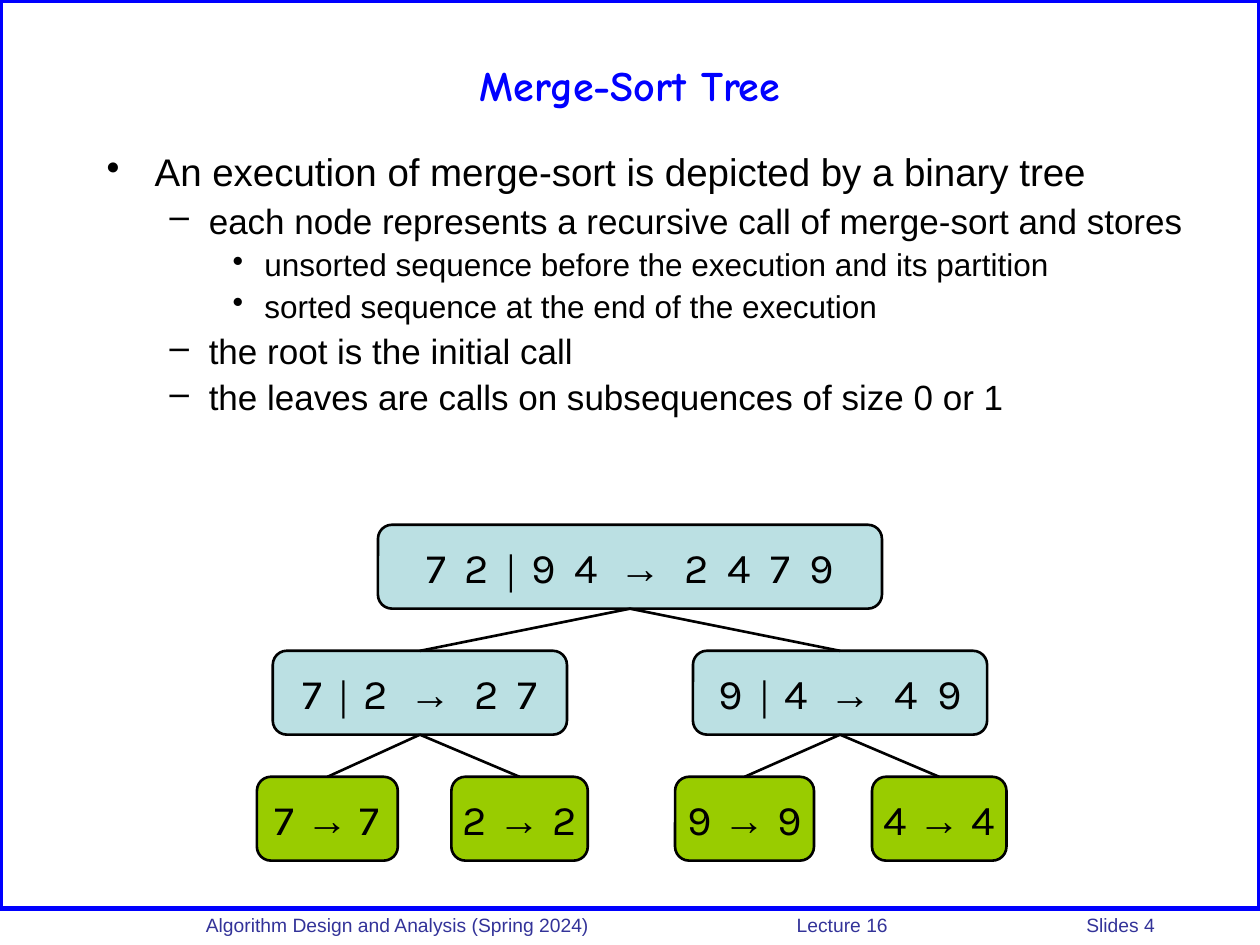
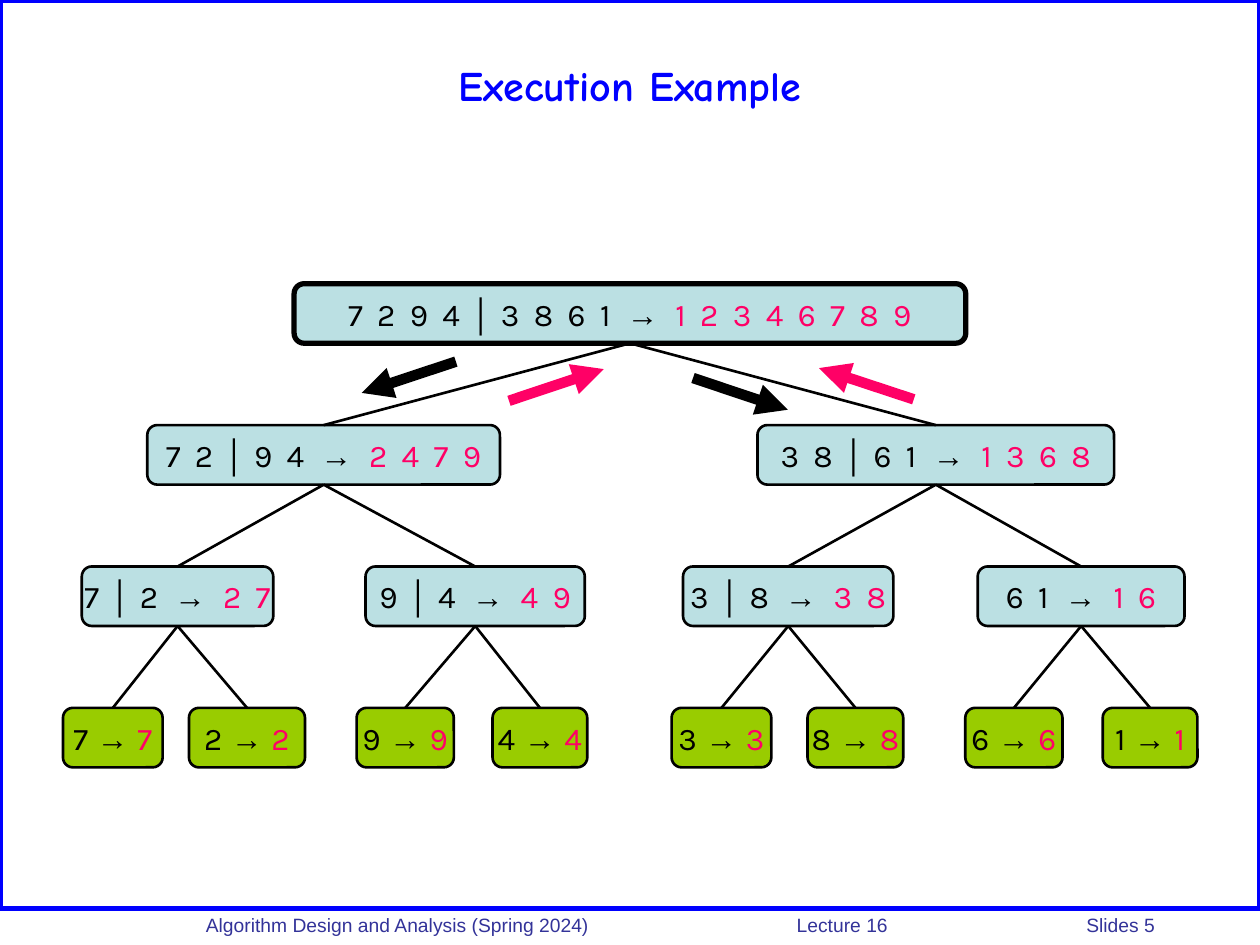
from lxml import etree
from pptx import Presentation
from pptx.dml.color import RGBColor
from pptx.enum.shapes import MSO_CONNECTOR as Link, MSO_SHAPE as Shape
from pptx.enum.text import MSO_ANCHOR as Anchor, PP_ALIGN as Align
from pptx.oxml.ns import qn
from pptx.util import Cm, Pt

BLUE, BLACK, PINK, NAVY = "0000FF", "000000", "FF0066", "333399"
INNER, LEAF = "BBE0E3", "99CC00"
TITLE_FONT, TEXT_FONT, NODE_FONT = "Comic Neue", "Arial", "Karla"
BOTTOM, TOP = 2, 0

# indent, hanging, bullet, size and space before of each outline level
LEVELS = [
    (0.97, 0.97, "•", 22, 5.5),
    (2.06, 0.79, "–", 20, 5),
    (3.18, 0.64, "•", 18, 4.5),
]


def rgb(value):
    return RGBColor.from_string(value)


def add_xml(parent, tag, **attributes):
    values = {name: str(value) for name, value in attributes.items()}
    return etree.SubElement(parent, qn(tag), values)


def style_run(span, size, font, color=BLACK, bold=False, tracking=0):
    """Format a run; tracking is the extra letter spacing in ems."""
    span.font.size = Pt(size)
    span.font.name = font
    span.font.bold = bold
    span.font.color.rgb = rgb(color)
    if tracking:
        span.font._element.set("spc", str(round(tracking * size * 100)))


class LectureDeck:
    def __init__(self):
        self.deck = Presentation()
        self.deck.slide_width, self.deck.slide_height = Cm(25.4), Cm(19.05)
        self.page = None

    def new_page(self, title, number):
        self.page = self.deck.slides.add_slide(self.deck.slide_layouts[6])
        frame = self.page.shapes.add_shape(Shape.RECTANGLE, 0, 0, Cm(25.4), Cm(18.31))
        frame.shadow.inherit = False
        frame.fill.background()
        frame.line.color.rgb = rgb(BLUE)
        frame.line.width = Pt(3)
        self.footer(number)
        box = self.text_box(1.27, 0.43, 22.86, 2.54)
        box.vertical_anchor = Anchor.MIDDLE
        box.text = title
        para = box.paragraphs[0]
        para.alignment = Align.CENTER
        style_run(para.runs[0], 24, TITLE_FONT, BLUE, bold=True)

    def text_box(self, left, top, width, height):
        box = self.page.shapes.add_textbox(Cm(left), Cm(top), Cm(width), Cm(height))
        box.text_frame.word_wrap = True
        return box.text_frame

    def footer(self, number):
        box = self.text_box(3.9, 18.29, 21.5, 0.66)
        para = box.paragraphs[0]
        para.text = f"Algorithm Design and Analysis (Spring 2024)\tLecture 16\tSlides {number}"
        tabs = add_xml(para._p.get_or_add_pPr(), "a:tabLst")
        for stop in (11.91, 17.75):
            add_xml(tabs, "a:tab", pos=Cm(stop), algn="l")
        style_run(para.runs[0], 11, TEXT_FONT, NAVY)

    def outline(self, items):
        """Write (level, text) pairs as a bulleted outline."""
        box = self.text_box(1.9, 2.97, 22.43, 6.96)
        for index, (level, text) in enumerate(items):
            para = box.add_paragraph() if index else box.paragraphs[0]
            indent, hanging, bullet, size, space = LEVELS[level]
            para.text = text
            para.level = level
            properties = para._p.get_or_add_pPr()
            properties.set("marL", str(Cm(indent)))
            properties.set("indent", str(-Cm(hanging)))
            add_xml(properties, "a:buChar", char=bullet)
            para.line_spacing = 0.9
            if index:
                para.space_before = Pt(space)
            style_run(para.runs[0], size, TEXT_FONT)

    def node(self, left, top, width, height, text, fill, size, result_color,
             border=1.5, loose=True):
        """Draw one call: its input, an optional partition bar and its result."""
        box = self.page.shapes.add_shape(
            Shape.ROUNDED_RECTANGLE, Cm(left), Cm(top), Cm(width), Cm(height))
        box.shadow.inherit = False
        box.fill.solid()
        box.fill.fore_color.rgb = rgb(fill)
        box.line.color.rgb = rgb(BLACK)
        box.line.width = Pt(border)
        box.text_frame.word_wrap = False
        box.text_frame.vertical_anchor = Anchor.MIDDLE
        para = box.text_frame.paragraphs[0]
        para.alignment = Align.CENTER

        sequence, arrow, result = text.partition(" → ")
        first, bar, second = sequence.partition(" │ ")
        digits = 0.11 if loose else 0
        gap = 0.13 if loose else 0
        pieces = [
            (first, size, NODE_FONT, BLACK, False, digits),
            (bar, 18, TEXT_FONT, BLACK, True, 0),
            (second, size, NODE_FONT, BLACK, False, digits),
            (arrow, size, TEXT_FONT, BLACK, True, gap),
            (result, size, NODE_FONT, result_color, False, digits),
        ]
        for piece, *style in pieces:
            if piece:
                span = para.add_run()
                span.text = piece
                style_run(span, *style)
        return box

    def line(self, start, end, color=BLACK, width=1.5):
        link = self.page.shapes.add_connector(
            Link.STRAIGHT, *(Cm(value) for value in start + end))
        link.line.color.rgb = rgb(color)
        link.line.width = Pt(width)
        add_xml(link._element.spPr, "a:effectLst")
        return link

    def arrow(self, start, end, color):
        link = self.line(start, end, color, 6)
        add_xml(link.line._get_or_add_ln(), "a:tailEnd", type="triangle")

    def tree(self, rows, top, step, height, size, result_color=BLACK, root_border=1.5):
        """Draw rows of (left, width, text); node i has children 2i and 2i + 1."""
        parents = []
        for depth, row in enumerate(rows):
            is_leaf = depth == len(rows) - 1
            nodes = []
            for index, (left, width, text) in enumerate(row):
                box = self.node(
                    left, top + depth * step, width, height, text,
                    LEAF if is_leaf else INNER, size, result_color,
                    border=1.5 if depth else root_border, loose=not is_leaf)
                if parents:
                    link = self.line((0, 0), (0, 0))
                    link.begin_connect(parents[index // 2], BOTTOM)
                    link.end_connect(box, TOP)
                nodes.append(box)
            parents = nodes


def main():
    lecture = LectureDeck()

    lecture.new_page("Merge-Sort Tree", 4)
    lecture.outline([
        (0, "An execution of merge-sort is depicted by a binary tree"),
        (1, "each node represents a recursive call of merge-sort and stores"),
        (2, "unsorted sequence before the execution and its partition"),
        (2, "sorted sequence at the end of the execution"),
        (1, "the root is the initial call"),
        (1, "the leaves are calls on subsequences of size 0 or 1"),
    ])
    lecture.tree([
        [(7.62, 10.16, "7 2 │ 9 4 → 2 4 7 9")],
        [(5.5, 5.93, "7 │ 2 → 2 7"), (13.97, 5.93, "9 │ 4 → 4 9")],
        [(5.18, 2.84, "7 → 7"), (9.1, 2.75, "2 → 2"),
         (13.61, 2.8, "9 → 9"), (17.58, 2.71, "4 → 4")],
    ], top=10.58, step=2.54, height=1.69, size=24)

    lecture.new_page("Execution Example", 5)
    lecture.tree([
        [(5.93, 13.54, "7 2 9 4 │ 3 8 6 1 → 1 2 3 4 6 7 8 9")],
        [(2.97, 7.11, "7 2 │ 9 4 → 2 4 7 9"), (15.27, 7.19, "3 8 │ 6 1 → 1 3 6 8")],
        [(1.65, 3.86, "7 │ 2 → 2 7"), (7.37, 4.42, "9 │ 4 → 4 9"),
         (13.77, 4.24, "3 │ 8 → 3 8"), (19.71, 4.17, "6 1 → 1 6")],
        [(1.27, 2.01, "7 → 7"), (3.81, 2.34, "2 → 2"),
         (7.19, 1.96, "9 → 9"), (9.93, 1.91, "4 → 4"),
         (13.54, 2.01, "3 → 3"), (16.28, 1.93, "8 → 8"),
         (19.46, 1.96, "6 → 6"), (22.23, 1.91, "1 → 1")],
    ], top=5.72, step=2.85, height=1.2, size=18, result_color=PINK, root_border=3)
    for start, end, color in [
        ((9.19, 7.29), (7.29, 7.92), BLACK),
        ((10.26, 8.08), (12.17, 7.44), PINK),
        ((13.97, 7.62), (15.88, 8.26), BLACK),
        ((18.42, 8.05), (16.51, 7.42), PINK),
    ]:
        lecture.arrow(start, end, color)

    lecture.deck.save("out.pptx")


if __name__ == "__main__":
    main()
